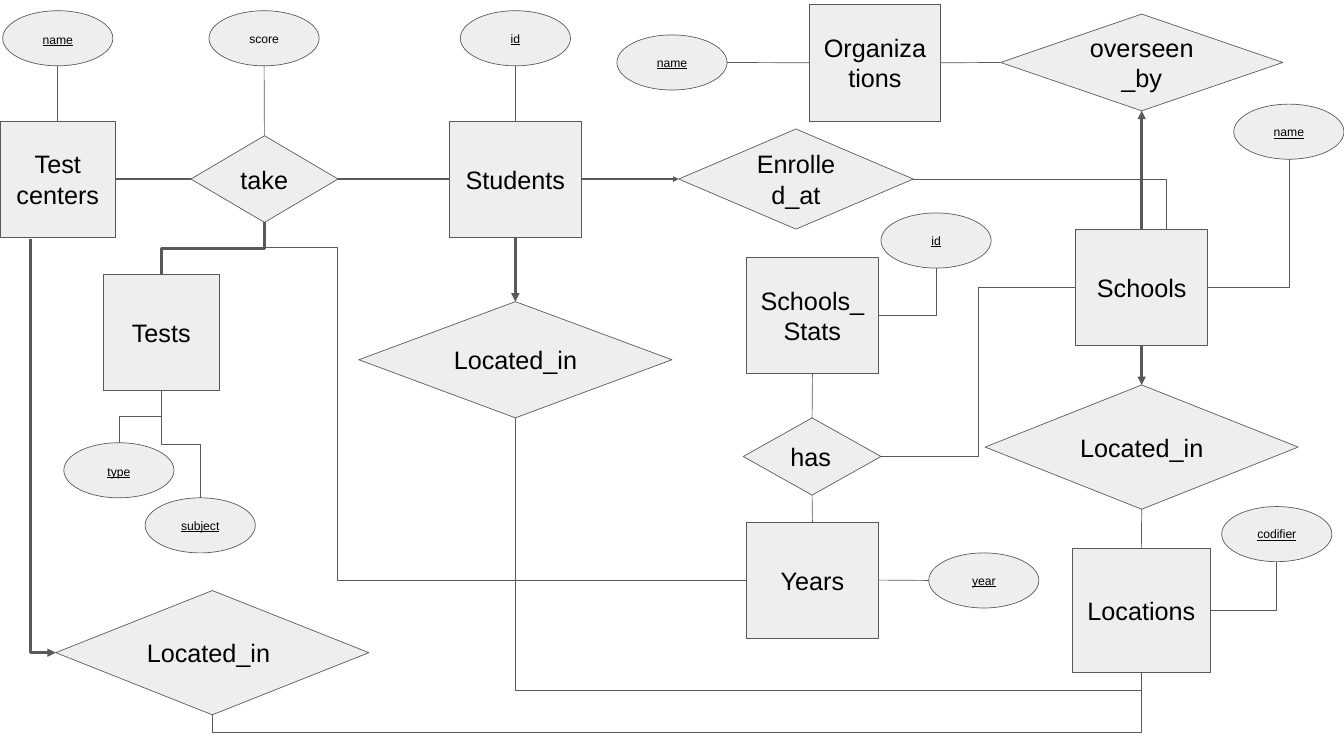
import pptx
import pptx.dml.color
import pptx.enum.shapes
import pptx.enum.text
import pptx.oxml
import pptx.oxml.ns
import pptx.util
from lxml import etree

COLUMNS, ROWS = 20, 11
UNIT = pptx.util.Inches(1)  # one grid column or row
COLORS = {"fill": "EEEEEE", "line": "595959", "text": "000000"}
THIN, MEDIUM, THICK = 0.75, 1.5, 3
TOP, LEFT, BOTTOM, RIGHT = range(4)
SHAPES = pptx.enum.shapes.MSO_SHAPE
CONNECTORS = pptx.enum.shapes.MSO_CONNECTOR
ALIGN = pptx.enum.text.PP_ALIGN
ATTRIBUTE_SIZE = (1.64, 0.82)

# key: (text, left, top, width, height)
ENTITIES = {
    "centers": ("Test centers", 0, 1.8, 1.72, 1.73),
    "tests": ("Tests", 1.54, 4.08, 1.72, 1.73),
    "students": ("Students", 6.69, 1.8, 1.96, 1.73),
    "schools": ("Schools", 16.01, 3.41, 1.96, 1.73),
    "locations": ("Locations", 15.96, 8.16, 2.05, 1.85),
    "organizations": ("Organizations", 12.04, 0.07, 1.96, 1.73),
    "stats": ("Schools_Stats", 11.11, 3.83, 1.96, 1.73),
    "years": ("Years", 11.11, 7.77, 1.96, 1.73),
}
RELATIONSHIPS = {
    "take": ("take", 2.84, 2.02, 2.19, 1.29),
    "enrolled": ("Enrolled_at", 10.1, 1.92, 3.49, 1.49),
    "overseen": ("overseen _by", 14.89, 0.21, 4.2, 1.44),
    "has": ("has", 11.06, 6.22, 2.05, 1.15),
    "school place": ("Located_in", 14.66, 5.73, 4.66, 1.85),
    "student place": ("Located_in", 5.34, 4.49, 4.66, 1.73),
    "center place": ("Located_in", 0.83, 8.79, 4.66, 1.85),
}
LEFT_ALIGNED = {"take", "has", "center place"}
# key: (text, left, top)
ATTRIBUTES = {
    "center name": ("name", 0.04, 0.16),
    "score": ("score", 3.11, 0.16),
    "student id": ("id", 6.85, 0.16),
    "organization name": ("name", 9.18, 0.52),
    "school name": ("name", 18.36, 1.55),
    "type": ("type", 0.95, 6.59),
    "subject": ("subject", 2.16, 7.41),
    "stats id": ("id", 13.11, 3.17),
    "year": ("year", 13.82, 8.23),
    "codifier": ("codifier", 18.18, 7.54),
}
LOOSE_SPACING = {"center name", "type"}

# start, its side, end, its side, weight, arrow
STRAIGHT_LINKS = [
    ("centers", RIGHT, "take", LEFT, THICK, False),
    ("students", LEFT, "take", RIGHT, THICK, False),
    ("students", RIGHT, "enrolled", LEFT, MEDIUM, True),
    ("students", BOTTOM, "student place", TOP, THICK, True),
    ("schools", BOTTOM, "school place", TOP, THICK, True),
    ("schools", TOP, "overseen", BOTTOM, THICK, True),
    ("school place", BOTTOM, "locations", TOP, THIN, False),
    ("organizations", RIGHT, "overseen", LEFT, THIN, False),
    ("stats", BOTTOM, "has", TOP, THIN, False),
    ("has", BOTTOM, "years", TOP, THIN, False),
    ("center name", BOTTOM, "centers", TOP, THIN, False),
    ("score", BOTTOM, "take", TOP, THIN, False),
    ("student id", BOTTOM, "students", TOP, THIN, False),
    ("organization name", RIGHT, "organizations", LEFT, THIN, False),
    ("year", LEFT, "years", RIGHT, THIN, False),
]


def style_line(line, weight):
    line.color.rgb = pptx.dml.color.RGBColor.from_string(COLORS["line"])
    line.width = pptx.util.Pt(weight)


def add_node(slide, kind, text, box, size, align=ALIGN.CENTER):
    node = slide.shapes.add_shape(kind, *(round(length * UNIT) for length in box))
    node.shadow.inherit = False
    node.fill.solid()
    node.fill.fore_color.rgb = pptx.dml.color.RGBColor.from_string(COLORS["fill"])
    style_line(node.line, THIN)
    frame = node.text_frame
    frame.word_wrap = True
    frame.vertical_anchor = pptx.enum.text.MSO_ANCHOR.MIDDLE
    frame.margin_left = frame.margin_right = round(0.19 * UNIT)
    frame.margin_top = frame.margin_bottom = round(0.19 * UNIT)
    frame.text = text
    paragraph = frame.paragraphs[0]
    paragraph.alignment = align
    font = paragraph.runs[0].font
    font.name = "Arial"
    font.size = pptx.util.Pt(size)
    font.color.rgb = pptx.dml.color.RGBColor.from_string(COLORS["text"])
    return node


def add_attribute(slide, key):
    text, left, top = ATTRIBUTES[key]
    node = add_node(slide, SHAPES.OVAL, text, (left, top, *ATTRIBUTE_SIZE), 13)
    paragraph = node.text_frame.paragraphs[0]
    if key != "score":
        paragraph.runs[0].font.underline = True
    if key in LOOSE_SPACING:
        paragraph.line_spacing = 1.15
    return node


def side_point(node, side):
    """Middle of one side of a node, in grid units."""
    across = {LEFT: 0, RIGHT: 1}.get(side, 0.5)
    down = {TOP: 0, BOTTOM: 1}.get(side, 0.5)
    return ((node.left + across * node.width) / UNIT,
            (node.top + down * node.height) / UNIT)


def add_line(slide, kind, start, end, weight, arrow):
    line = slide.shapes.add_connector(
        kind, *(round(length * UNIT) for length in (*start, *end)))
    style_line(line.line, weight)
    properties = line._element.spPr
    if arrow:
        outline = properties.find(pptx.oxml.ns.qn("a:ln"))
        etree.SubElement(outline, pptx.oxml.ns.qn("a:tailEnd"), type="triangle")
    etree.SubElement(properties, pptx.oxml.ns.qn("a:effectLst"))
    return line


def add_straight_link(slide, nodes, link):
    start, start_side, end, end_side, weight, arrow = link
    line = add_line(slide, CONNECTORS.STRAIGHT, side_point(nodes[start], start_side),
                    side_point(nodes[end], end_side), weight, arrow)
    if start not in ATTRIBUTES:  # ovals number their sides differently
        line.begin_connect(nodes[start], start_side)
    line.end_connect(nodes[end], end_side)


def add_elbow(slide, start, end, bend=None, vertical=True, weight=THIN, arrow=False):
    """Bent line; bend is the share of the way to its middle leg, None a single corner."""
    run, drop = end[0] - start[0], end[1] - start[1]
    width, height = (abs(drop), abs(run)) if vertical else (abs(run), abs(drop))
    left = (start[0] + end[0] - width) / 2
    top = (start[1] + end[1] - height) / 2
    line = add_line(slide, CONNECTORS.ELBOW, (left, top),
                    (left + width, top + height), weight, arrow)
    frame = line._element.spPr.find(pptx.oxml.ns.qn("a:xfrm"))
    flipped = run < 0
    if vertical:
        frame.set("rot", str((90 if run < 0 else 270) * 60000))
        flipped = (run < 0) == (drop < 0)
    if flipped:
        frame.set("flipH", "1")
    geometry = line._element.spPr.find(pptx.oxml.ns.qn("a:prstGeom"))
    if bend is None:
        geometry.set("prst", "bentConnector2")
    else:
        guides = geometry.find(pptx.oxml.ns.qn("a:avLst"))
        if guides is None:
            guides = etree.SubElement(geometry, pptx.oxml.ns.qn("a:avLst"))
        etree.SubElement(guides, pptx.oxml.ns.qn("a:gd"), name="adj1",
                         fmla=f"val {round(bend * 100000)}")


def add_elbows(slide, nodes):
    def at(key, side):
        return side_point(nodes[key], side)

    for attribute, owner in (("school name", "schools"), ("stats id", "stats"),
                             ("codifier", "locations")):
        add_elbow(slide, at(attribute, BOTTOM), at(owner, RIGHT))
    for attribute in ("type", "subject"):
        add_elbow(slide, at(attribute, TOP), at("tests", BOTTOM), 0.5)
    for place, lowest in (("center place", 10.9), ("student place", 10.28)):
        start, end = at(place, BOTTOM), at("locations", BOTTOM)
        add_elbow(slide, start, end, (lowest - start[1]) / (end[1] - start[1]))
    add_elbow(slide, at("take", BOTTOM), at("tests", TOP), 0.5, weight=THICK)
    add_elbow(slide, (0.46, 3.56), at("center place", LEFT), weight=THICK, arrow=True)
    add_elbow(slide, (3.94, 3.68), at("years", LEFT), 0.15, vertical=False)
    add_elbow(slide, at("enrolled", RIGHT), (17.35, 3.41), 1, vertical=False)
    add_elbow(slide, at("schools", LEFT), at("has", RIGHT), 0.5, vertical=False)


def main():
    deck = pptx.Presentation()
    deck.slide_width, deck.slide_height = COLUMNS * UNIT, ROWS * UNIT
    slide = deck.slides.add_slide(deck.slide_layouts[6])
    nodes = {}
    for key, (text, *box) in ENTITIES.items():
        nodes[key] = add_node(slide, SHAPES.RECTANGLE, text, box, 27)
    for key, (text, *box) in RELATIONSHIPS.items():
        align = ALIGN.LEFT if key in LEFT_ALIGNED else ALIGN.CENTER
        nodes[key] = add_node(slide, SHAPES.FLOWCHART_DECISION, text, box, 27, align)
    for key in ATTRIBUTES:
        nodes[key] = add_attribute(slide, key)
    for link in STRAIGHT_LINKS:
        add_straight_link(slide, nodes, link)
    add_elbows(slide, nodes)
    deck.save("out.pptx")


if __name__ == "__main__":
    main()
